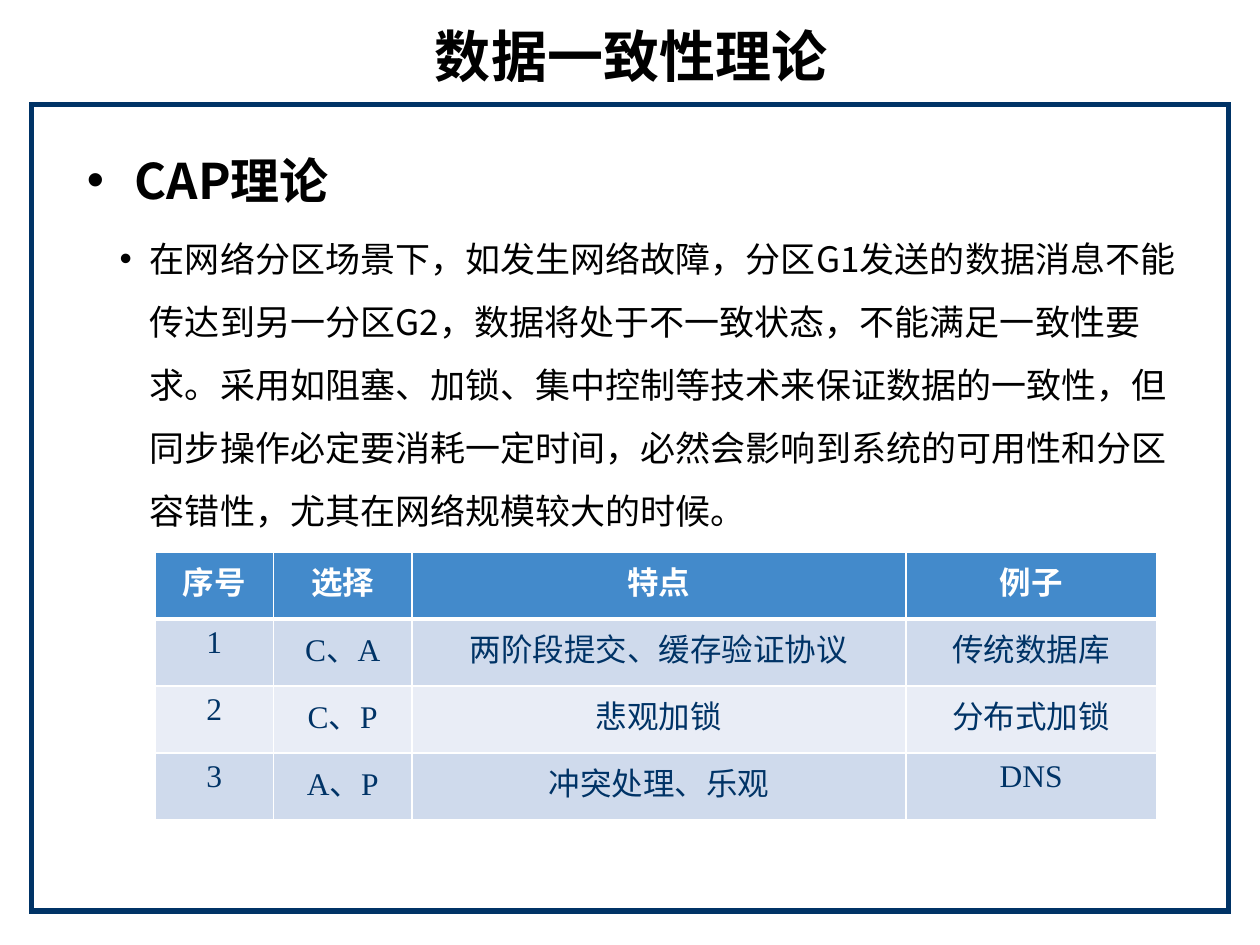
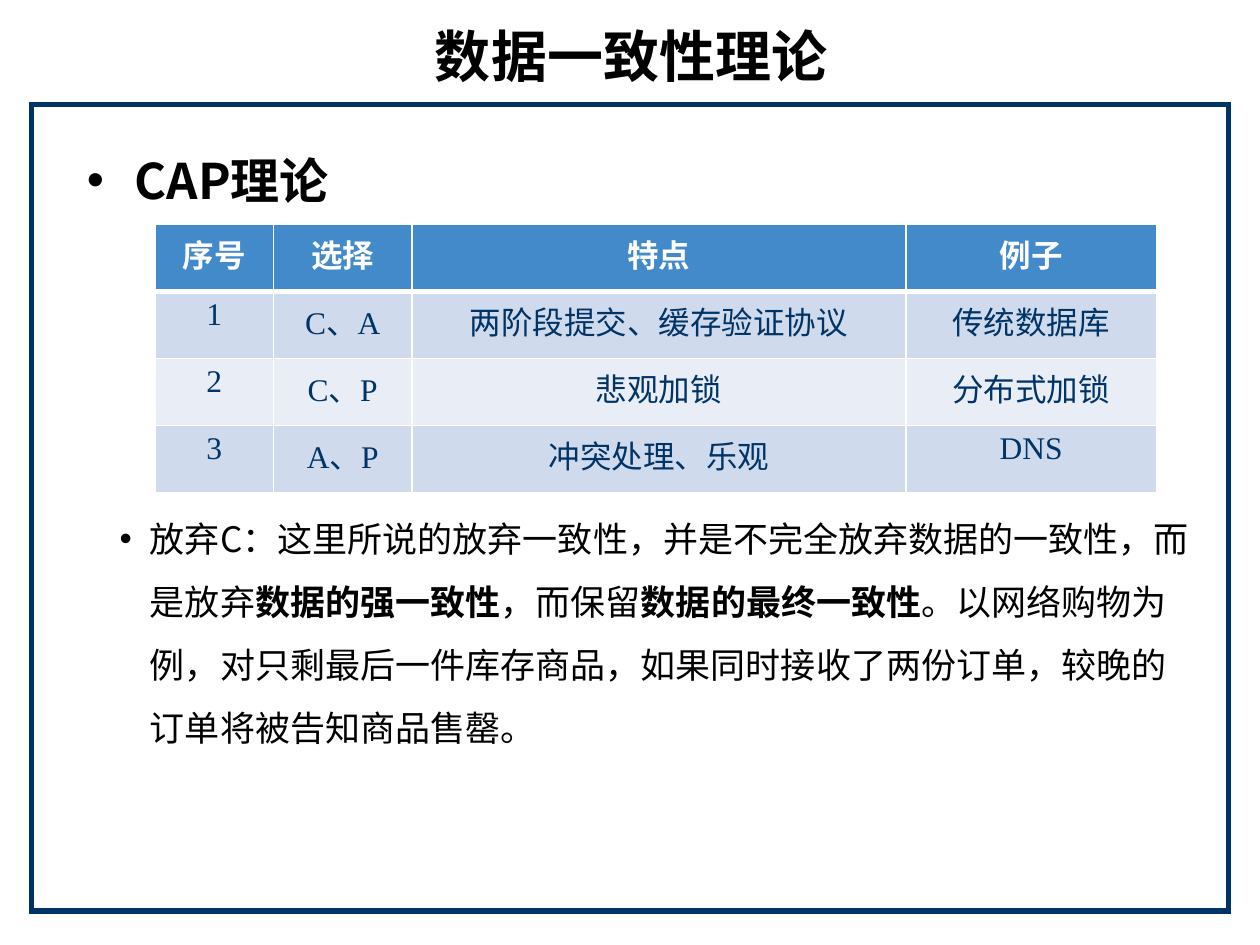
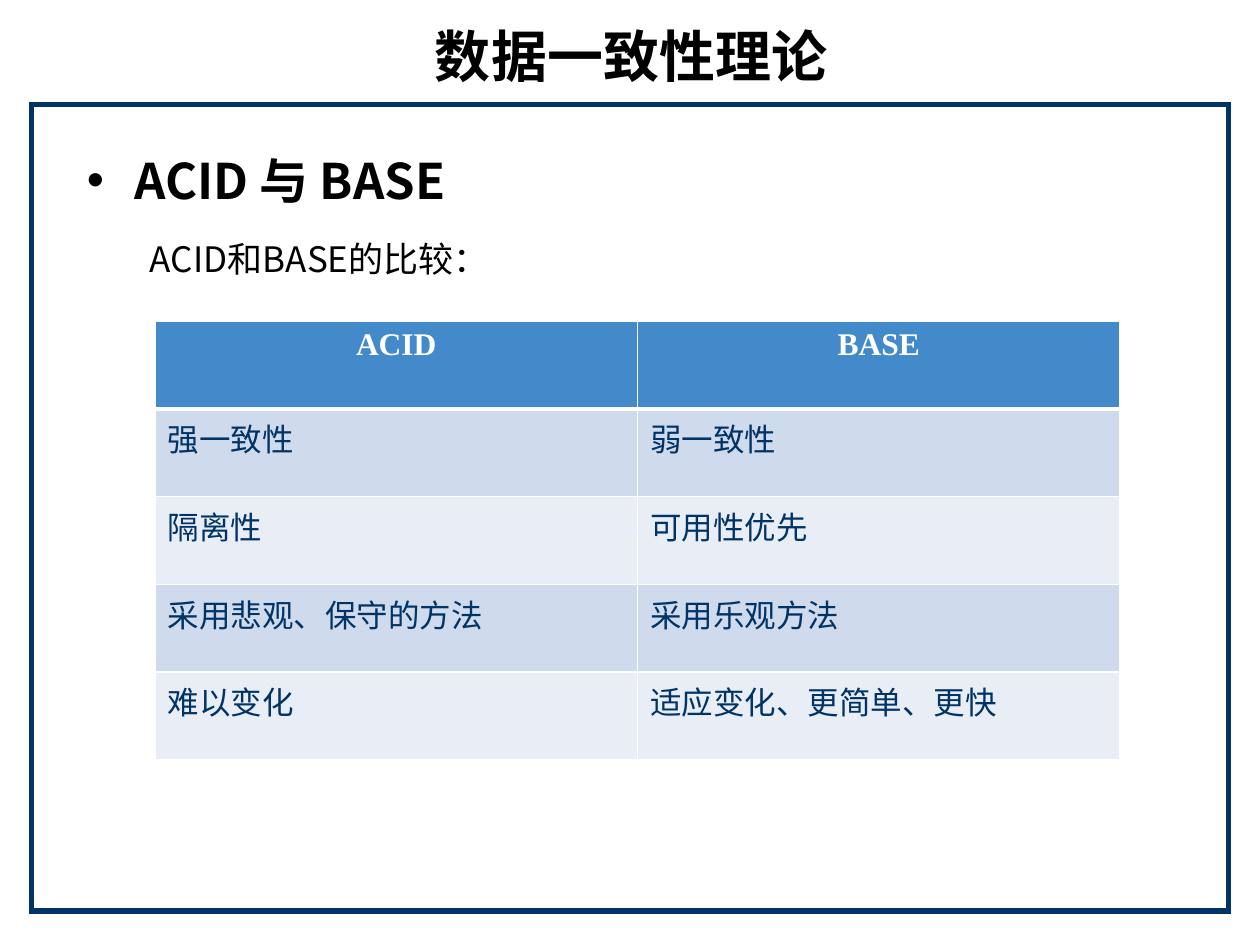
from pptx import Presentation
from pptx import util as u
from pptx.dml import color
from pptx.enum import shapes, text
from pptx.oxml import ns
from lxml import etree

HUES = {"ink": "000000", "navy": "003366", "head": "438ACB",
        "odd": "CFDAEC", "even": "E9EDF6", "white": "FFFFFF"}
SANS, SERIF, TOPIC = "Noto Sans CJK SC", "Times New Roman", "DejaVu Sans"
HEADER = "数据一致性理论"
FRAME = (0.25, 0.83, 9.5, 6.4)
TITLE = (0.27, 0.13, 9.48, 0.62)
BODY = (0.59, 0.91, 9, 5.99)
CENTER, LEFT = text.PP_ALIGN.CENTER, text.PP_ALIGN.LEFT

CAP = [("序号", "选择", "特点", "例子"),
       ("1", "C、A", "两阶段提交、缓存验证协议", "传统数据库"),
       ("2", "C、P", "悲观加锁", "分布式加锁"),
       ("3", "A、P", "冲突处理、乐观", "DNS")]
CAP_COLS = (0.94, 1.1, 3.92, 1.99)
PAIRS = [("ACID", "BASE"),
         ("强一致性", "弱一致性"),
         ("隔离性", "可用性优先"),
         ("采用悲观、保守的方法", "采用乐观方法"),
         ("难以变化", "适应变化、更简单、更快")]
SPLIT = [("在网络分区场景下，如发生网络故障，分区G1发送的数据消息不能传达到另一分区G2，"
          "数据将处于不一致状态，不能满足一致性要求。采用如阻塞、加锁、集中控制等技术来保证"
          "数据的一致性，但同步操作必定要消耗一定时间，必然会影响到系统的可用性和分区容错性，"
          "尤其在网络规模较大的时候。", False)]
DROP = [("放弃C：这里所说的放弃一致性，并是不完全放弃数据的一致性，而是放弃", False),
        ("数据的强一致性", True),
        ("，而保留", False),
        ("数据的最终一致性", True),
        ("。以网络购物为例，对只剩最后一件库存商品，如果同时接收了两份订单，"
         "较晚的订单将被告知商品售罄。", False)]


def rgb(name):
    """Return a palette colour."""
    return color.RGBColor.from_string(HUES[name])


def place(shape, box):
    """Move a shape to a box given in inches."""
    shape.left, shape.top, shape.width, shape.height = map(u.Inches, box)


def write(para, words, size, hue="ink", bold=False, font=SANS):
    """Add one run to a paragraph."""
    run = para.add_run()
    run.text = words
    face = run.font
    face.size, face.bold, face.name = u.Pt(size), bold, font
    face.color.rgb = rgb(hue)
    east = etree.Element(ns.qn("a:ea"), typeface=SANS)
    face._element.find(ns.qn("a:latin")).addnext(east)


def mark(para, left, hang, dot=True):
    """Set the indent and the bullet of a paragraph."""
    props = para._p.get_or_add_pPr()
    props.set("marL", str(u.Inches(left)))
    props.set("indent", str(-u.Inches(hang)))
    props.set("hangingPunct", "0")
    if dot:
        tint = etree.SubElement(props, ns.qn("a:buClr"))
        etree.SubElement(tint, ns.qn("a:srgbClr"), val=HUES["ink"])
        etree.SubElement(props, ns.qn("a:buFont"), typeface="Arial")
        etree.SubElement(props, ns.qn("a:buChar"), char="•")
    else:
        etree.SubElement(props, ns.qn("a:buNone"))


def frame(slide, box):
    """Draw the navy frame behind all other parts."""
    rect = slide.shapes.add_shape(shapes.MSO_SHAPE.RECTANGLE, *map(u.Inches, box))
    rect.shadow.inherit = False
    rect.fill.solid()
    rect.fill.fore_color.rgb = rgb("white")
    rect.line.color.rgb = rgb("navy")
    rect.line.width = u.Pt(3)
    line = rect.element.spPr.find(ns.qn("a:ln"))
    etree.SubElement(line, ns.qn("a:miter"), lim="800000")
    slide.shapes.element.insert(2, rect.element)


def title(slide, box):
    """Fill the title placeholder."""
    shape = slide.shapes.title
    place(shape, box)
    area = shape.text_frame
    area.auto_size = text.MSO_AUTO_SIZE.NONE
    area.vertical_anchor = text.MSO_ANCHOR.MIDDLE
    para = area.paragraphs[0]
    para.alignment = CENTER
    write(para, HEADER, 32, bold=True, font=TOPIC)


def body(slide, box, head, runs, gap=4, dot=True):
    """Fill the body with a heading and one paragraph below it."""
    shape = slide.placeholders[1]
    place(shape, box)
    area = shape.text_frame
    area.auto_size = text.MSO_AUTO_SIZE.NONE
    area.vertical_anchor = text.MSO_ANCHOR.TOP
    first = area.paragraphs[0]
    first.line_spacing, first.space_before = u.Pt(50.5), u.Pt(0)
    mark(first, 0.38, 0.38)
    write(first, head, 28, bold=True)
    para = area.add_paragraph()
    para.level = 1
    para.line_spacing, para.space_before = u.Pt(36), u.Pt(gap)
    mark(para, 0.5, 0.24 if dot else 0, dot)
    for words, bold in runs:
        write(para, words, 20, bold=bold)


def edge(cell, side, width):
    """Give one side of a cell a white border."""
    line = etree.SubElement(cell._tc.get_or_add_tcPr(), ns.qn("a:ln" + side),
                            w=str(u.Pt(width)))
    fill = etree.SubElement(line, ns.qn("a:solidFill"))
    etree.SubElement(fill, ns.qn("a:srgbClr"), val=HUES["white"])


def grid(slide, spot, cols, high, rows, align=CENTER):
    """Add a banded table with a blue header row."""
    box = (*spot, sum(cols), high)
    table = slide.shapes.add_table(len(rows), len(cols), *map(u.Inches, box)).table
    for col, wide in zip(table.columns, cols):
        col.width = u.Inches(wide)
    for i, row in enumerate(rows):
        table.rows[i].height = u.Inches(high / len(rows))
        band = "head" if i == 0 else "odd" if i % 2 else "even"
        for j, words in enumerate(row):
            cell = table.cell(i, j)
            for side in "LRTB":
                thick = (i == 0 and side == "B") or (i == 1 and side == "T")
                edge(cell, side, 3 if thick else 1)
            cell.fill.solid()
            cell.fill.fore_color.rgb = rgb(band)
            para = cell.text_frame.paragraphs[0]
            para.alignment = align if i else CENTER
            write(para, words, 18, "navy" if i else "white", i == 0, SERIF)


def start(deck):
    """Add a slide with the shared frame and title."""
    slide = deck.slides.add_slide(deck.slide_layouts[1])
    frame(slide, FRAME)
    title(slide, TITLE)
    return slide


def main():
    """Build and save the deck."""
    deck = Presentation()
    deck.slide_width, deck.slide_height = u.Inches(10), u.Inches(7.5)

    slide = start(deck)
    body(slide, BODY, "CAP理论", SPLIT)
    grid(slide, (1.23, 4.38), CAP_COLS, 2.13, CAP)

    slide = start(deck)
    body(slide, BODY, "CAP理论", DROP, gap=164)
    grid(slide, (1.23, 1.78), CAP_COLS, 2.13, CAP)

    slide = start(deck)
    body(slide, BODY, "ACID 与 BASE", [("ACID和BASE的比较：", False)], dot=False)
    grid(slide, (1.23, 2.55), (3.83, 3.83), 3.48, PAIRS, LEFT)

    deck.save("out.pptx")


main()
